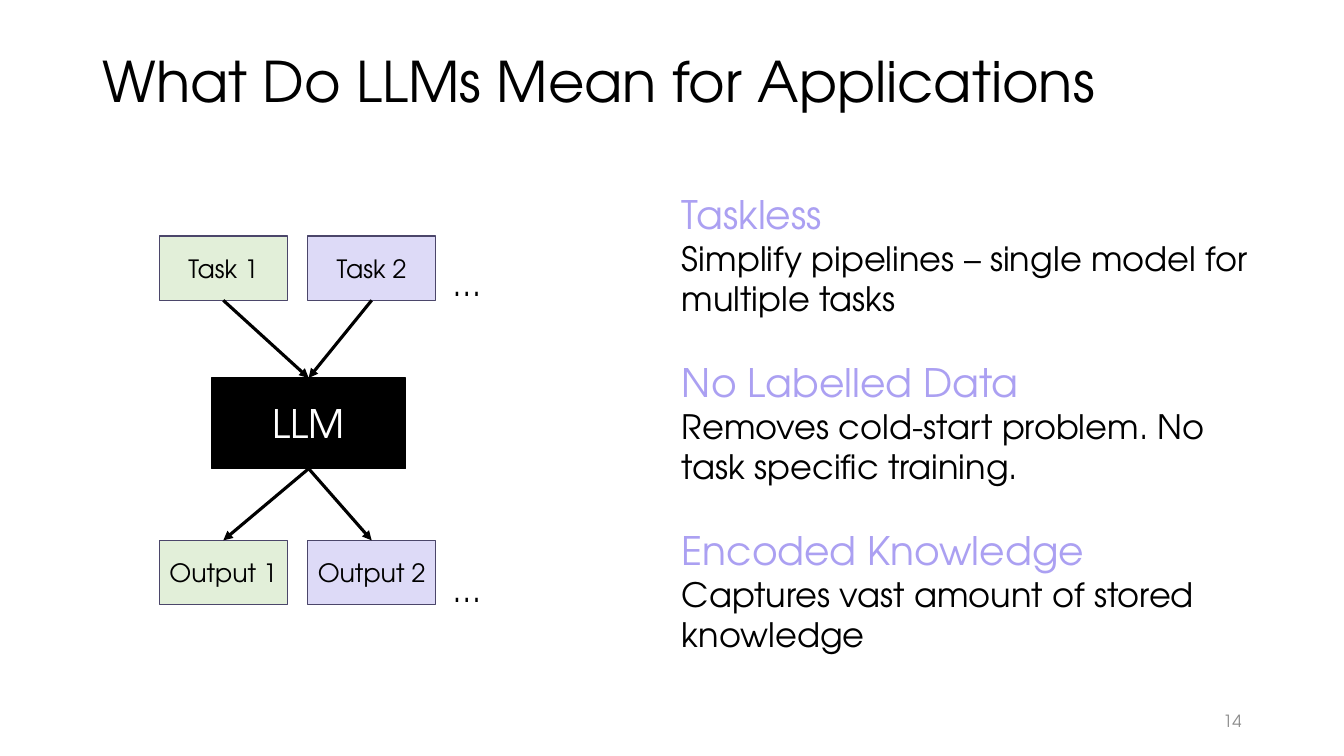
from lxml import etree
from pptx import Presentation
from pptx.dml.color import RGBColor
from pptx.enum.shapes import MSO_CONNECTOR, MSO_SHAPE
from pptx.enum.text import MSO_ANCHOR, MSO_AUTO_SIZE, PP_ALIGN
from pptx.oxml.ns import qn
from pptx.util import Pt

RECT = MSO_SHAPE.RECTANGLE
STRAIGHT = MSO_CONNECTOR.STRAIGHT
TOP, MIDDLE = MSO_ANCHOR.TOP, MSO_ANCHOR.MIDDLE
LEFT, CENTER, RIGHT = PP_ALIGN.LEFT, PP_ALIGN.CENTER, PP_ALIGN.RIGHT
NO_FIT = MSO_AUTO_SIZE.NONE

BLACK = RGBColor(0x00, 0x00, 0x00)
WHITE = RGBColor(0xFF, 0xFF, 0xFF)
GREY = RGBColor(0x8C, 0x8C, 0x8C)
LILAC = RGBColor(0xAB, 0xA0, 0xF2)
PALE_LILAC = RGBColor(0xDD, 0xDA, 0xF7)
PALE_GREEN = RGBColor(0xE2, 0xEF, 0xD9)
OUTLINE = RGBColor(0x4B, 0x46, 0x6A)

TOP_SIDE, BOTTOM_SIDE = 0, 2
BOX_W, BOX_H = 91.5, 46
TASK_Y, OUTPUT_Y = 168.5, 386
COLUMNS = [(1, 113.75, PALE_GREEN), (2, 219.75, PALE_LILAC)]
BENEFITS = [
    ("Taskless", "Simplify pipelines – single model for multiple tasks"),
    ("No Labelled Data", "Removes cold-start problem. No task specific training."),
    ("Encoded Knowledge", "Captures vast amount of stored knowledge"),
]


class SlideBuilder:
    font = "TeX Gyre Adventor"

    def __init__(self, prs):
        self.s = prs.slides.add_slide(prs.slide_layouts[5])

    def paragraph(self, p, text, size, color=BLACK, **formats):
        for name, value in formats.items():
            setattr(p, name, value)
        r = p.add_run()
        r.text = text
        for name, value in {"name": self.font, "size": Pt(size), "bold": False}.items():
            setattr(r.font, name, value)
        r.font.color.rgb = color

    def frame(self, sp, anchor):
        tf = sp.text_frame
        formats = {"word_wrap": True, "auto_size": NO_FIT, "vertical_anchor": anchor}
        for name, value in formats.items():
            setattr(tf, name, value)
        return tf

    def title(self, text, x, y, w, h):
        sp = self.s.shapes.title
        sp.left, sp.top, sp.width, sp.height = Pt(x), Pt(y), Pt(w), Pt(h)
        tf = self.frame(sp, MIDDLE)
        self.paragraph(tf.paragraphs[0], text, 40, alignment=LEFT, line_spacing=0.9)

    def textbox(self, x, y, w, h, anchor=TOP):
        sp = self.s.shapes.add_textbox(Pt(x), Pt(y), Pt(w), Pt(h))
        return self.frame(sp, anchor)

    def box(self, text, x, y, w, h, fill, line, size, color=BLACK):
        sp = self.s.shapes.add_shape(RECT, Pt(x), Pt(y), Pt(w), Pt(h))
        sp.shadow.inherit = False
        sp.fill.solid()
        sp.fill.fore_color.rgb = fill
        sp.line.color.rgb = line
        sp.line.width = Pt(1)
        tf = self.frame(sp, MIDDLE)
        tf.margin_left = tf.margin_right = Pt(3)
        self.paragraph(tf.paragraphs[0], text, size, color, alignment=CENTER)
        return sp

    def arrow(self, upper, lower):
        """Point from the bottom of one box to the top of another."""
        cx = self.s.shapes.add_connector(STRAIGHT, 0, 0, 0, 0)
        cx.begin_connect(upper, BOTTOM_SIDE)
        cx.end_connect(lower, TOP_SIDE)
        cx.line.color.rgb = BLACK
        cx.line.width = Pt(2.25)
        etree.SubElement(cx.line._get_or_add_ln(), qn("a:tailEnd"), type="triangle")
        etree.SubElement(cx._element.spPr, qn("a:effectLst"))


def main():
    prs = Presentation()
    prs.slide_width, prs.slide_height = Pt(960), Pt(540)
    sb = SlideBuilder(prs)

    sb.title("What Do LLMs Mean for Applications", 66, 28.75, 828, 63.5)
    number = sb.textbox(678, 500.5, 216, 28.75, MIDDLE)
    sb.paragraph(number.paragraphs[0], "14", 12, GREY, alignment=RIGHT)

    benefits = sb.textbox(480, 132.5, 435, 342)
    for i, (heading, detail) in enumerate(BENEFITS):
        p = benefits.add_paragraph() if i else benefits.paragraphs[0]
        sb.paragraph(p, heading, 28, LILAC, space_before=Pt(28.8 if i else 0))
        sb.paragraph(benefits.add_paragraph(), detail, 24)

    llm = sb.box("LLM", 151.25, 270, 138.5, 64.75, BLACK, BLACK, 28, WHITE)
    for number, x, fill in COLUMNS:
        task, output = [
            sb.box(f"{label} {number}", x, y, BOX_W, BOX_H, fill, OUTLINE, 18)
            for label, y in (("Task", TASK_Y), ("Output", OUTPUT_Y))
        ]
        sb.arrow(task, llm)
        sb.arrow(llm, output)
    for y in (184.5, 403):
        sb.paragraph(sb.textbox(317, y, 74, 36).paragraphs[0], "…", 24)

    prs.save("out.pptx")


if __name__ == "__main__":
    main()
